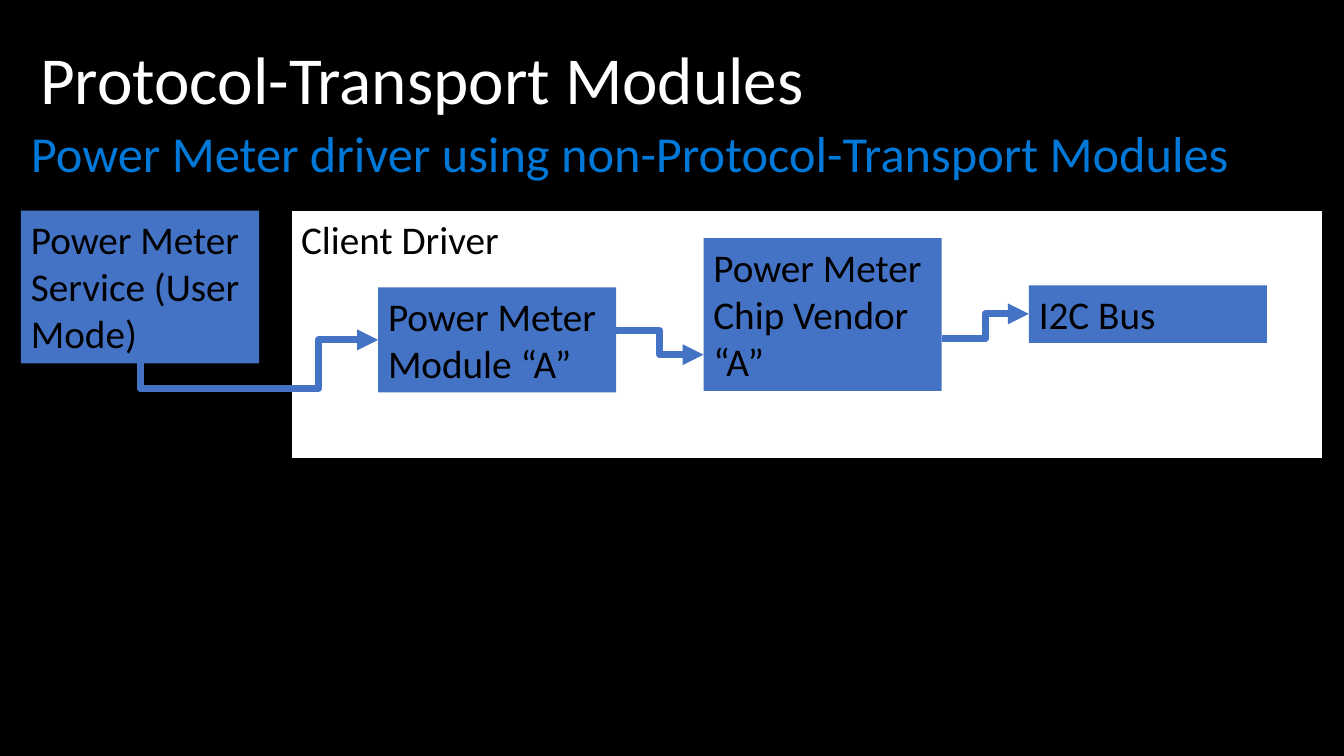
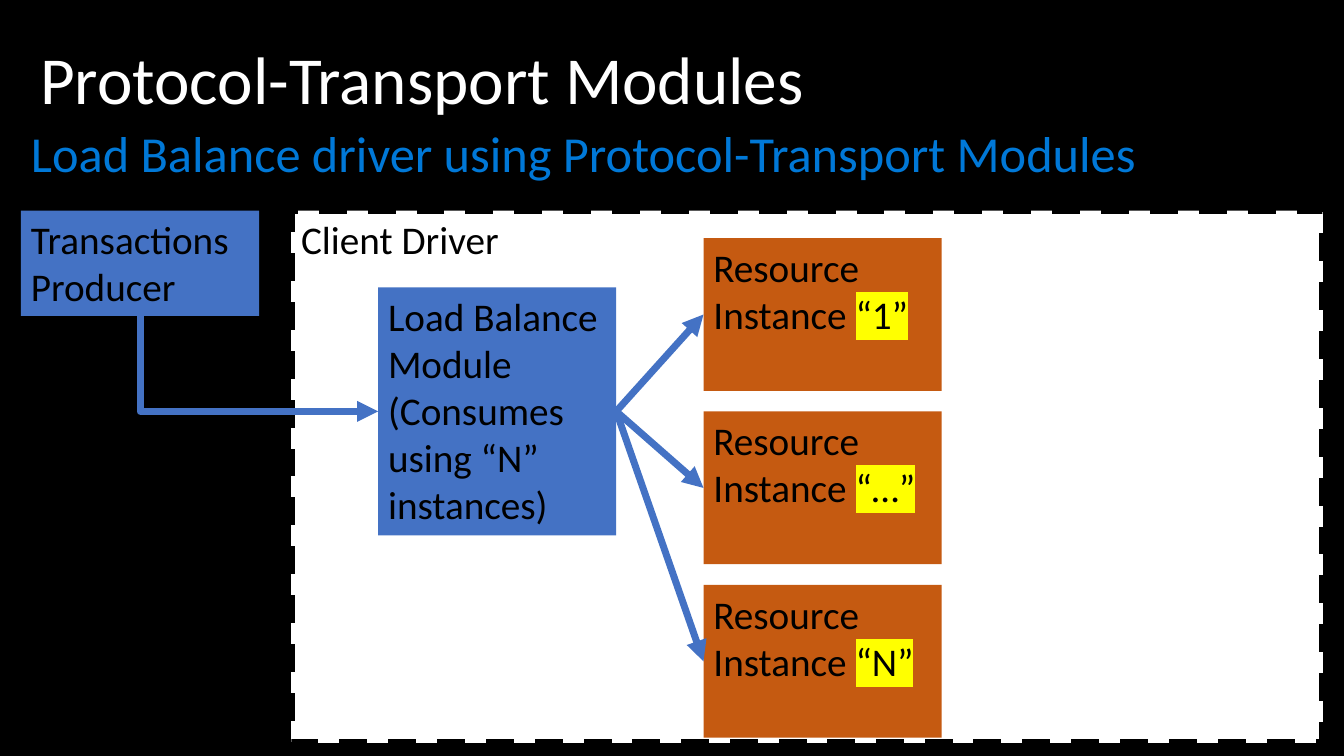
from lxml.etree import SubElement
from pptx import Presentation
from pptx.dml.color import RGBColor
from pptx.enum.dml import MSO_LINE
from pptx.enum.shapes import MSO_CONNECTOR as Route, MSO_SHAPE
from pptx.enum.text import MSO_ANCHOR as Anchor, PP_ALIGN as Align
from pptx.oxml.ns import qn
from pptx.util import Cm, Pt

BLACK, WHITE, ACCENT = "000000", "FFFFFF", "0078D7"
BLUE, ORANGE, YELLOW = "4472C4", "C55A11", "FFFF00"
FONT = "Calibri"
TITLE_ONLY = 5

# Shared measures in centimetres
TITLE_BOX = (0.76, 0.81, 33.02, 2.54)
SUBTITLE_BOX = (0.53, 3.12, 32.56, 1.8)
SIDE_X, DRIVER_X, TOP = 0.53, 7.34, 5.31
DRIVER_WIDTH, BLOCK_WIDTH = 26, 6
COLUMN_PITCH, RESOURCE_PITCH = 8.2, 4.37
MODULE_X, SECOND_X, THIRD_X = (9.53 + i * COLUMN_PITCH for i in range(3))
HEIGHTS = {1: 1.45, 2: 2.65, 3: 3.85, 5: 6.25}  # by number of text lines
BOTTOM_SITE, RIGHT_SITE, LEFT_SITE = 2, 3, 1


def rgb(value):
    return RGBColor.from_string(value)


def cm(*lengths):
    return [Cm(length) for length in lengths]


def write(frame, pieces, size, color, anchor=Anchor.TOP, spacing=1.0):
    """Fill a frame with one left-aligned paragraph of (text, highlight) pieces."""
    frame.word_wrap = True
    frame.vertical_anchor = anchor
    paragraph = frame.paragraphs[0]
    for name, value in {"alignment": Align.LEFT, "line_spacing": spacing,
                        "space_before": Pt(0)}.items():
        setattr(paragraph, name, value)
    for text, highlight in pieces:
        run = paragraph.add_run()
        run.text = text
        for name, value in {"size": Pt(size), "name": FONT}.items():
            setattr(run.font, name, value)
        run.font.color.rgb = rgb(color)
        if highlight:
            properties = run.font._element
            mark = SubElement(properties, qn("a:highlight"))
            SubElement(mark, qn("a:srgbClr"), val=highlight)
            properties.find(qn("a:latin")).addprevious(mark)


def add_block(slide, box, pieces, fill):
    block = slide.shapes.add_shape(MSO_SHAPE.RECTANGLE, *cm(*box))
    block.shadow.inherit = False
    block.fill.solid()
    block.fill.fore_color.rgb = rgb(fill)
    block.line.fill.background()
    write(block.text_frame, pieces, 28, BLACK)
    return block


def add_module(slide, left, top, lines, text, fill=BLUE, mark="", mark_color=YELLOW):
    pieces = [(text, None)] + ([(mark, mark_color)] if mark else [])
    return add_block(slide, (left, top, BLOCK_WIDTH, HEIGHTS[lines]), pieces, fill)


def add_driver(slide, height, line_width, dash=None):
    driver = add_block(slide, (DRIVER_X, TOP, DRIVER_WIDTH, height),
                       [("Client Driver", None)], WHITE)
    driver.line.color.rgb = rgb(BLACK)
    driver.line.width = Pt(line_width)
    if dash:
        driver.line.dash_style = dash


def add_arrow(slide, route, ends=(0, 0, 0, 0)):
    arrow = slide.shapes.add_connector(route, *cm(*ends))
    arrow.line.color.rgb = rgb(BLUE)
    arrow.line.width = Pt(5)
    SubElement(arrow.line._get_or_add_ln(), qn("a:tailEnd"), type="triangle")
    SubElement(arrow.element.spPr, qn("a:effectLst"))
    return arrow


def link(slide, source, target, route=Route.STRAIGHT, source_site=RIGHT_SITE):
    arrow = add_arrow(slide, route)
    arrow.begin_connect(source, source_site)
    arrow.end_connect(target, LEFT_SITE)
    return arrow


def link_from_below(slide, source, target, preset, turn, adjustments=()):
    """Leave the source at its bottom and enter the target from the left."""
    arrow = link(slide, source, target, Route.ELBOW, BOTTOM_SITE)
    across = abs(arrow.end_x - arrow.begin_x)
    down = abs(arrow.end_y - arrow.begin_y)
    center_x = (arrow.begin_x + arrow.end_x) // 2
    center_y = (arrow.begin_y + arrow.end_y) // 2
    # A quarter turn swaps the width and height of the connector's frame
    for name, value in {"left": center_x - down // 2, "top": center_y - across // 2,
                        "width": down, "height": across}.items():
        setattr(arrow, name, value)
    properties = arrow.element.spPr
    frame = properties.find(qn("a:xfrm"))
    for name, value in turn.items():
        frame.set(name, value)
    geometry = properties.find(qn("a:prstGeom"))
    geometry.set("prst", preset)
    guides = geometry.find(qn("a:avLst"))
    for number, value in enumerate(adjustments, 1):
        SubElement(guides, qn("a:gd"), name=f"adj{number}", fmla=f"val {value}")


def start_slide(prs, subtitle):
    slide = prs.slides.add_slide(prs.slide_layouts[TITLE_ONLY])
    title = slide.shapes.title
    for name, value in zip(("left", "top", "width", "height"), cm(*TITLE_BOX)):
        setattr(title, name, value)
    write(title.text_frame, [("Protocol-Transport Modules", None)], 48, WHITE,
          Anchor.MIDDLE, 0.9)
    heading = slide.shapes.add_textbox(*cm(*SUBTITLE_BOX))
    write(heading.text_frame, [(subtitle, None)], 36, ACCENT, spacing=0.9)
    return slide


def power_meter_slide(prs):
    slide = start_slide(prs, "Power Meter driver using non-Protocol-Transport Modules")
    add_driver(slide, 6.25, 1)
    # Chain from the service to the bus
    service = add_module(slide, SIDE_X, TOP, 3, "Power Meter Service (User Mode)")
    add_module(slide, SECOND_X, 6, 3, "Power Meter Chip Vendor “A”")
    meter = add_module(slide, MODULE_X, 7.24, 2, "Power Meter Module “A”")
    add_module(slide, THIRD_X, 7.19, 1, "I2C Bus")
    link_from_below(slide, service, meter, "bentConnector4",
                    {"rot": "5400000", "flipH": "1", "flipV": "1"}, (-106100, 75000))
    for left, start_y, right, end_y in ((MODULE_X, 8.33, SECOND_X, 8.94),
                                        (SECOND_X, 8.53, THIRD_X, 7.91)):
        add_arrow(slide, Route.ELBOW, (left + BLOCK_WIDTH, start_y, right, end_y))


def load_balance_slide(prs):
    slide = start_slide(prs, "Load Balance driver using Protocol-Transport Modules")
    add_driver(slide, 13.41, 5, MSO_LINE.DASH)
    # Producer and balancer
    producer = add_module(slide, SIDE_X, TOP, 2, "Transactions Producer")
    balancer = add_module(slide, MODULE_X, 7.24, 5,
                          "Load Balance Module (Consumes using “N” instances)")
    link_from_below(slide, producer, balancer, "bentConnector2",
                    {"rot": "16200000", "flipH": "1"})
    # Resource instances
    resources = [add_module(slide, SECOND_X, 6 + row * RESOURCE_PITCH, 3,
                            "Resource Instance ", ORANGE, mark)
                 for row, mark in enumerate(("“1”", "“…”", "“N”"))]
    for resource in resources:
        link(slide, balancer, resource)


def main():
    prs = Presentation()
    prs.slide_width, prs.slide_height = cm(33.87, 19.05)
    backdrop = prs.slide_master.background.fill
    backdrop.solid()
    backdrop.fore_color.rgb = rgb(BLACK)
    power_meter_slide(prs)
    load_balance_slide(prs)
    prs.save("out.pptx")


if __name__ == "__main__":
    main()
